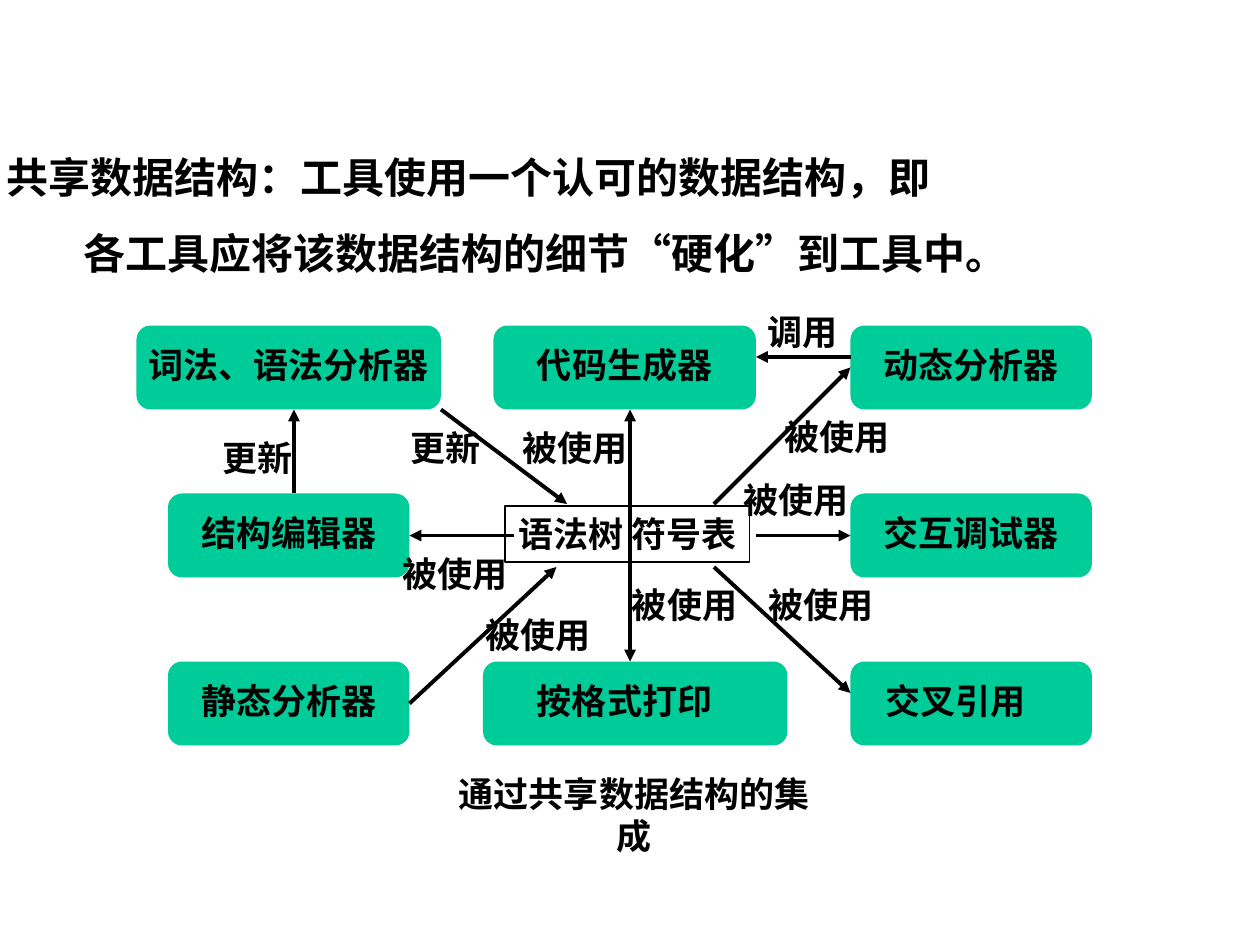
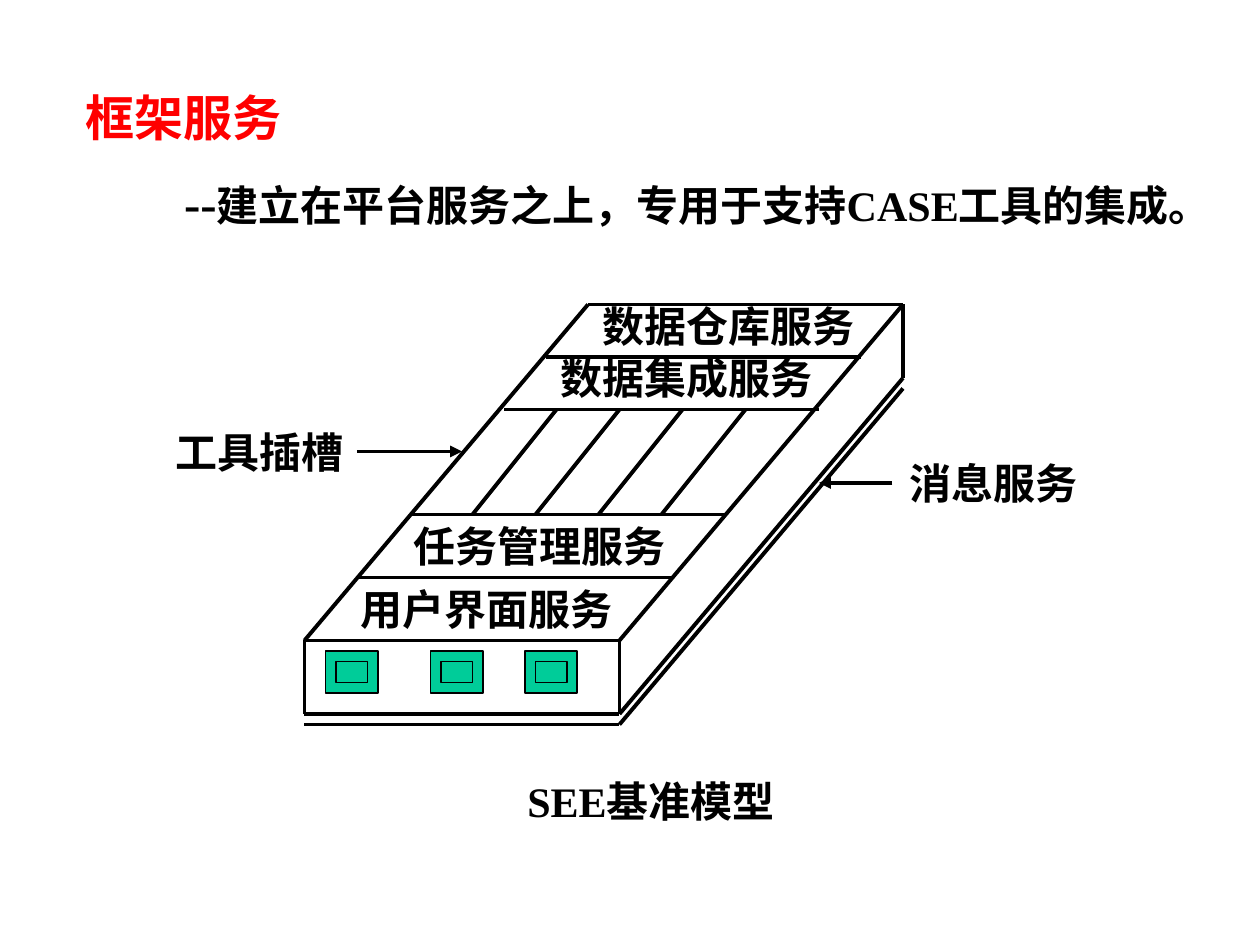
from dataclasses import dataclass

from lxml.etree import SubElement
from pptx import Presentation
from pptx.dml.color import RGBColor
from pptx.enum.shapes import MSO_CONNECTOR, MSO_SHAPE
from pptx.enum.text import MSO_ANCHOR, MSO_AUTO_SIZE, PP_ALIGN
from pptx.oxml.ns import qn
from pptx.util import Inches, Pt


@dataclass(frozen=True)
class Theme:
    font: str = "Times New Roman"
    ink: RGBColor = RGBColor(0, 0, 0)
    accent: RGBColor = RGBColor(0xFF, 0, 0)
    green: RGBColor = RGBColor(0, 0xCC, 0x99)
    title: int = 28
    body: int = 24
    small: int = 20
    thin: float = 1
    thick: float = 2.25
    paragraph_gap: int = 15


THEME = Theme()
CELLS_PER_INCH = 12


def cells(count):
    return Inches(count / CELLS_PER_INCH)


@dataclass(frozen=True)
class Box:
    """A region of the slide, measured in grid cells."""
    left: float
    top: float
    width: float
    height: float

    def point(self, col, row):
        return cells(self.left + col), cells(self.top + row)

    def area(self, col, row, width, height):
        return *self.point(col, row), cells(width), cells(height)


# Shared parts

def add_text(paragraph, text, size=THEME.body, color=THEME.ink, bold=True):
    run = paragraph.add_run()
    run.text = text
    run.font.name = THEME.font
    run.font.size = Pt(size)
    run.font.color.rgb = color
    run.font.bold = bold


def add_block(slide, box, shape_type, col, row, width, height, fill=None, line=None):
    block = slide.shapes.add_shape(shape_type, *box.area(col, row, width, height))
    block.shadow.inherit = False
    if fill is None:
        block.fill.background()
    else:
        block.fill.solid()
        block.fill.fore_color.rgb = fill
    if line is None:
        block.line.fill.background()
    else:
        block.line.color.rgb = line
        block.line.width = Pt(THEME.thin)
    return block


def center_text(frame, text, size):
    frame.word_wrap = False
    frame.vertical_anchor = MSO_ANCHOR.MIDDLE
    frame.paragraphs[0].alignment = PP_ALIGN.CENTER
    add_text(frame.paragraphs[0], text, size=size)


def add_label(slide, box, text, center, top, size=THEME.body):
    """One line centred on a column; its width follows from its characters."""
    width = (len(text) * size / 72 + 0.2) * CELLS_PER_INCH
    height = (1.2 * size / 72 + 0.1) * CELLS_PER_INCH
    label = slide.shapes.add_textbox(*box.area(center - width / 2, top, width, height))
    center_text(label.text_frame, text, size)
    label.text_frame.auto_size = MSO_AUTO_SIZE.SHAPE_TO_FIT_TEXT


def add_line(slide, box, start, end, arrow=False):
    line = slide.shapes.add_connector(
        MSO_CONNECTOR.STRAIGHT, *box.point(*start), *box.point(*end))
    line.line.color.rgb = THEME.ink
    line.line.width = Pt(THEME.thick)
    if arrow:
        SubElement(line.line._get_or_add_ln(), qn("a:tailEnd"), type="triangle")
    SubElement(line._element.spPr, qn("a:effectLst"))


def add_heading(slide, box, first, second, indent, inset=0.1):
    """Two paragraphs, each a list of (text, format) pieces; the second is indented."""
    frame = slide.shapes.add_textbox(*box.area(0, 0, box.width, box.height)).text_frame
    frame.word_wrap = True
    frame.margin_left, frame.margin_right = Inches(inset), 0
    opening, detail = frame.paragraphs[0], frame.add_paragraph()
    detail.space_before = Pt(THEME.paragraph_gap)
    detail._p.get_or_add_pPr().set("marL", str(Inches(indent)))
    for paragraph, pieces in ((opening, first), (detail, second)):
        for text, style in pieces:
            add_text(paragraph, text, **style)


# Slide 1: tools around a shared data structure

TOOL_HEIGHT = 8
TOOLS = [  # name, column, row, width, shift of the name
    ("词法、语法分析器", 1, 7, 29, 0),
    ("代码生成器", 35, 7, 25, 0),
    ("动态分析器", 69, 7, 23, 0),
    ("结构编辑器", 4, 23, 23, 0),
    ("交互调试器", 69, 23, 23, 0),
    ("静态分析器", 4, 39, 23, 0),
    ("按格式打印", 34, 39, 29, -1),
    ("交叉引用", 69, 39, 23, -1.5),
]
FLOWS = [
    ((30, 15), (42, 24)), ((27, 43), (41, 30)), ((37, 27), (27, 27)),
    ((60, 27), (69, 27)), ((56, 24), (69, 11)), ((56, 30), (69, 42)),
    ((48, 24), (48, 15)), ((48, 30), (48, 39)), ((16, 23), (16, 15)),
    ((69, 10), (60, 10)),
]
FLOW_NAMES = {  # centre column, top row
    "更新": [(12.5, 17), (30.4, 16)],
    "被使用": [(42.8, 16), (67.7, 15), (63.8, 21), (66.2, 31),
            (53.2, 31), (39.2, 33.8), (31.3, 28)],
    "调用": [(64.4, 5)],
}


def draw_tool(slide, box, name, col, row, width, shift):
    tool = add_block(slide, box, MSO_SHAPE.FLOWCHART_ALTERNATE_PROCESS,
                     col, row, width, TOOL_HEIGHT, fill=THEME.green)
    center_text(tool.text_frame, name, THEME.small)
    tool.text_frame.margin_right = Inches(0.1) - cells(2 * shift)
    tool.text_frame.margin_bottom = Inches(0.1)


def draw_shared_data(slide, box):
    for tool in TOOLS:
        draw_tool(slide, box, *tool)
    # Shared store, crossed by the line between its halves
    store = add_block(slide, box, MSO_SHAPE.RECTANGLE, 36.1, 24.2, 23.3, 5.3,
                      line=THEME.ink)
    center_text(store.text_frame, "语法树 符号表", THEME.small)
    add_line(slide, box, (48, 24), (48, 30))
    # Flows and their names
    for start, end in FLOWS:
        add_line(slide, box, start, end, arrow=True)
    for name, places in FLOW_NAMES.items():
        for center, top in places:
            add_label(slide, box, name, center, top, size=THEME.small)
    add_label(slide, box, "通过共享数据结构的集成", 48.4, 51, size=THEME.small)


def build_shared_data_slide(slide):
    add_heading(slide, Box(0, 13.8, 120, 13.3),
                [("共享数据结构：工具使用一个认可的数据结构，即", {})],
                [("各工具应将该数据结构的细节“硬化”到工具中。", {})],
                indent=0.61, inset=0.05)
    draw_shared_data(slide, Box(12, 24, 96, 60))


# Slide 2: the layered reference model

BACK_ROW, FRONT_ROW = 5, 37
BACK_LEFT, FRONT_LEFT = 44, 17
MODEL_WIDTH = 30
SLOT_TOP, SLOT_BOTTOM = 15, 25
FACE_DROP, BASE_DROP = 7, 8
SERVICES = [  # name, centre column, top row
    ("数据仓库服务", 57.4, 4),
    ("数据集成服务", 53.4, 9),
    ("任务管理服务", 39.4, 25),
    ("用户界面服务", 34.3, 31),
    ("工具插槽", 12.7, 16),
    ("消息服务", 82.6, 19),
    ("SEE基准模型", 50, 49.3),
]


def left_edge(row):
    """Column where the slanted left side of the model crosses a row."""
    depth = (row - BACK_ROW) / (FRONT_ROW - BACK_ROW)
    return round(BACK_LEFT + (FRONT_LEFT - BACK_LEFT) * depth)


def draw_model(slide, box):
    back_right, front_right = BACK_LEFT + MODEL_WIDTH, FRONT_LEFT + MODEL_WIDTH
    # Top plane: sides and layers
    for offset in (0, MODEL_WIDTH):
        add_line(slide, box, (BACK_LEFT + offset, BACK_ROW),
                 (FRONT_LEFT + offset, FRONT_ROW))
    for row in (BACK_ROW, 10, SLOT_TOP, SLOT_BOTTOM, 31, FRONT_ROW):
        add_line(slide, box, (left_edge(row), row), (left_edge(row) + MODEL_WIDTH, row))
    # Tool slots
    for col in range(41, 60, 6):
        add_line(slide, box, (col, SLOT_TOP), (col - 8, SLOT_BOTTOM))
    # Upright edges, then the bottom edge and the base below it
    for col, row in ((FRONT_LEFT, FRONT_ROW), (front_right, FRONT_ROW),
                     (back_right, BACK_ROW)):
        add_line(slide, box, (col, row), (col, row + FACE_DROP))
    for drop in (FACE_DROP, BASE_DROP):
        corner = (front_right, FRONT_ROW + drop)
        add_line(slide, box, (back_right, BACK_ROW + drop), corner)
        add_line(slide, box, (FRONT_LEFT, FRONT_ROW + drop), corner)
    # Screens on the front face
    for col in (19, 29, 38):
        for margin in (0, 1):
            add_block(slide, box, MSO_SHAPE.RECTANGLE, col + margin, 38 + margin,
                      5 - 2 * margin, 4 - 2 * margin,
                      fill=THEME.green, line=THEME.ink)
    # Names and pointers
    for name, center, top in SERVICES:
        add_label(slide, box, name, center, top)
    add_line(slide, box, (22, 19), (32, 19), arrow=True)
    add_line(slide, box, (73, 22), (66, 22), arrow=True)


def build_model_slide(slide):
    add_heading(slide, Box(7, 7.7, 113, 14.9),
                [("框架服务", {"size": THEME.title, "color": THEME.accent})],
                [("--", {"size": THEME.title}),
                 ("建立在平台服务之上，专用于支持CASE工具的集成。", {})],
                indent=0.78)
    draw_model(slide, Box(12, 24, 96, 60))


def main():
    deck = Presentation()
    deck.slide_width, deck.slide_height = Inches(10), Inches(7.5)
    blank = deck.slide_layouts[6]
    for build in (build_shared_data_slide, build_model_slide):
        build(deck.slides.add_slide(blank))
    deck.save("out.pptx")


if __name__ == "__main__":
    main()
